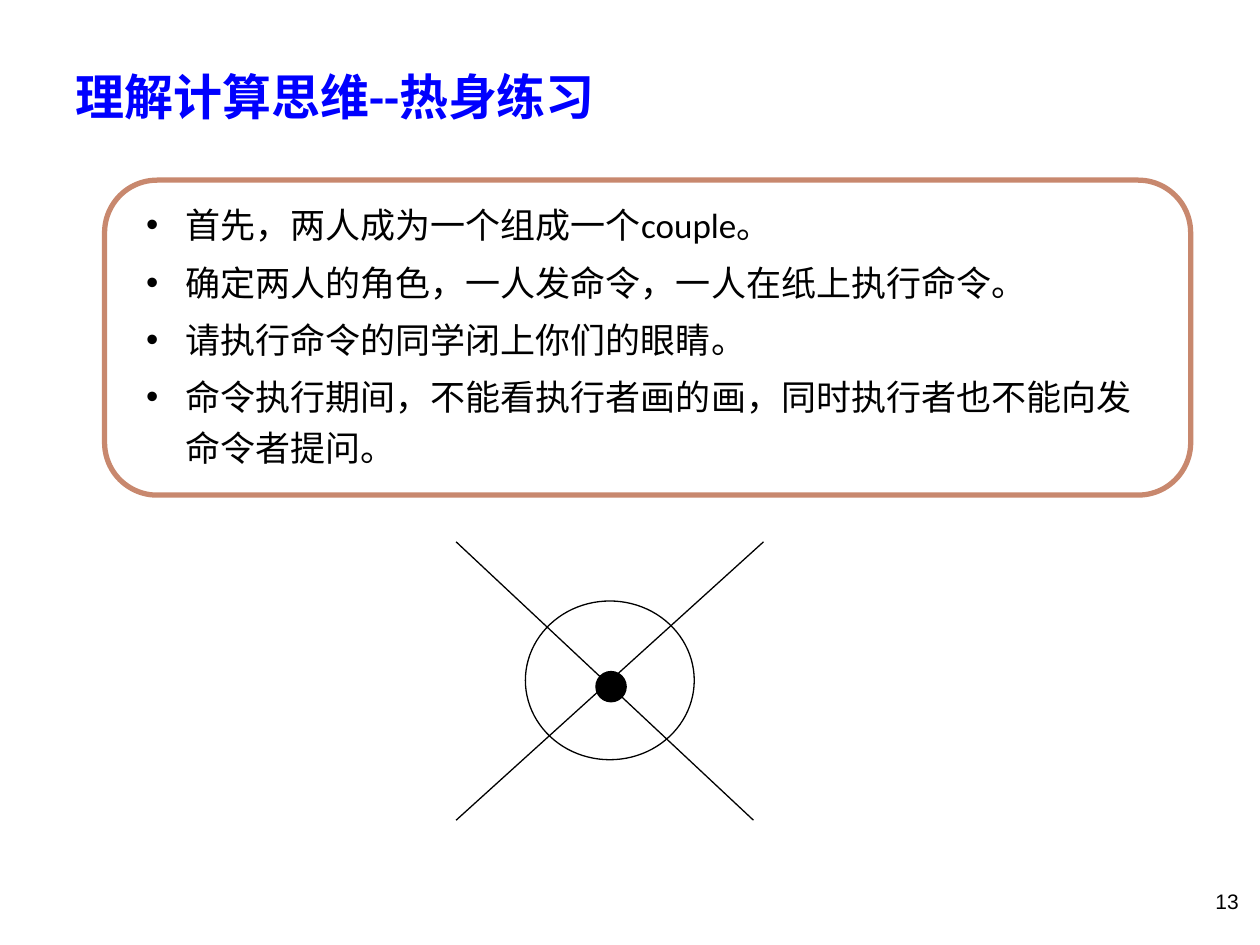
from dataclasses import dataclass
from typing import Optional

from lxml.etree import SubElement
from pptx import Presentation
from pptx.dml.color import RGBColor
from pptx.enum.shapes import MSO_CONNECTOR as Connector, MSO_SHAPE as Shape
from pptx.enum.text import MSO_ANCHOR as Anchor, MSO_AUTO_SIZE as AutoSize, PP_ALIGN as Align
from pptx.oxml.ns import qn
from pptx.util import Inches, Pt


@dataclass(frozen=True)
class Theme:
    """Colours, fonts and type sizes of the slide."""
    black: RGBColor = RGBColor(0x00, 0x00, 0x00)
    blue: RGBColor = RGBColor(0x00, 0x00, 0xFF)
    copper: RGBColor = RGBColor(0xC8, 0x88, 0x6E)
    text_font: str = "Calibri"
    number_font: str = "Arial"
    title_size: int = 28
    body_size: int = 20
    number_size: int = 12
    thin_line: float = 0.75
    frame_line: float = 3


@dataclass(frozen=True)
class Box:
    """A rectangle in inches."""
    left: float
    top: float
    width: float
    height: float

    def lengths(self) -> tuple:
        """Return the rectangle as lengths."""
        return tuple(Inches(v) for v in (self.left, self.top, self.width, self.height))


@dataclass(frozen=True)
class Outline:
    """A preset shape with a line and an optional fill."""
    kind: Shape
    box: Box
    color: RGBColor
    weight: float
    fill: Optional[RGBColor] = None


@dataclass(frozen=True)
class Stroke:
    """A straight line between two points in inches."""
    start: tuple
    end: tuple


THEME = Theme()
TITLE_BOX = Box(0.5, 0.3, 9, 0.93)
BODY_BOX = Box(1.06, 1.5, 8.26, 2.37)
NUMBER_BOX = Box(7.6, 6.95, 2.33, 0.4)
BULLET_INDENT = Inches(0.31)
FRAME = Outline(Shape.ROUNDED_RECTANGLE, Box(0.83, 1.43, 8.62, 2.5), THEME.copper, THEME.frame_line)
CIRCLE = Outline(Shape.OVAL, Box(4.17, 4.77, 1.34, 1.26), THEME.black, THEME.thin_line)
DOT = Outline(Shape.OVAL, Box(4.73, 5.33, 0.24, 0.24), THEME.black, THEME.thin_line, THEME.black)
DIAGONALS = (
    Stroke((3.62, 4.3), (5.98, 6.51)),
    Stroke((6.06, 4.3), (3.62, 6.51)),
)
RULES = (
    "首先，两人成为一个组成一个couple。",
    "确定两人的角色，一人发命令，一人在纸上执行命令。",
    "请执行命令的同学闭上你们的眼睛。",
    "命令执行期间，不能看执行者画的画，同时执行者也不能向发命令者提问。",
)


def place(shape, box: Box) -> None:
    """Move and size a shape."""
    shape.left, shape.top, shape.width, shape.height = box.lengths()


def prepare_frame(shape, anchor: Anchor):
    """Return the shape's text frame, wrapped and anchored."""
    frame = shape.text_frame
    frame.word_wrap = True
    frame.auto_size = AutoSize.NONE
    frame.vertical_anchor = anchor
    return frame


def add_text(paragraph, text: str, font: str, size: int, color: RGBColor, bold: bool = False) -> None:
    """Add one formatted run."""
    run = paragraph.add_run()
    run.text = text
    run.font.name = font
    run.font.size = Pt(size)
    run.font.bold = bold
    run.font.color.rgb = color


def add_outline(shapes, outline: Outline) -> None:
    """Draw a preset shape."""
    shape = shapes.add_shape(outline.kind, *outline.box.lengths())
    shape.shadow.inherit = False
    shape.line.color.rgb = outline.color
    shape.line.width = Pt(outline.weight)
    if outline.fill is None:
        shape.fill.background()
    else:
        shape.fill.solid()
        shape.fill.fore_color.rgb = outline.fill


def add_stroke(shapes, stroke: Stroke) -> None:
    """Draw a thin straight line."""
    points = (Inches(v) for v in stroke.start + stroke.end)
    connector = shapes.add_connector(Connector.STRAIGHT, *points)
    connector.line.color.rgb = THEME.black
    connector.line.width = Pt(THEME.thin_line)
    SubElement(connector.element.spPr, qn("a:effectLst"))


def fill_title(title) -> None:
    """Write the slide title."""
    place(title, TITLE_BOX)
    paragraph = prepare_frame(title, Anchor.MIDDLE).paragraphs[0]
    paragraph.alignment = Align.LEFT
    add_text(paragraph, "理解计算思维--热身练习", THEME.text_font, THEME.title_size, THEME.blue, bold=True)


def fill_rules(body) -> None:
    """Write the bulleted rules of the exercise."""
    place(body, BODY_BOX)
    frame = prepare_frame(body, Anchor.TOP)
    for index, rule in enumerate(RULES):
        paragraph = frame.add_paragraph() if index else frame.paragraphs[0]
        properties = paragraph._p.get_or_add_pPr()
        properties.set("marL", str(BULLET_INDENT))
        properties.set("indent", str(-BULLET_INDENT))
        SubElement(properties, qn("a:buFont"), typeface=THEME.number_font)
        SubElement(properties, qn("a:buChar"), char="•")
        paragraph.line_spacing = 1.2
        paragraph.space_before = Pt(4 if index else 0)
        add_text(paragraph, rule, THEME.text_font, THEME.body_size, THEME.black)


def add_page_number(shapes) -> None:
    """Write the page number in the lower right corner."""
    text_box = shapes.add_textbox(*NUMBER_BOX.lengths())
    paragraph = prepare_frame(text_box, Anchor.MIDDLE).paragraphs[0]
    paragraph.alignment = Align.RIGHT
    add_text(paragraph, "13", THEME.number_font, THEME.number_size, THEME.black)


def add_drawing(shapes) -> None:
    """Draw the grouped figure that the pairs describe."""
    group = shapes.add_group_shape()
    add_outline(group.shapes, CIRCLE)
    for diagonal in DIAGONALS:
        add_stroke(group.shapes, diagonal)
    add_outline(group.shapes, DOT)


def main() -> None:
    """Build and save the slide."""
    presentation = Presentation()
    presentation.slide_width, presentation.slide_height = Inches(10), Inches(7.5)
    slide = presentation.slides.add_slide(presentation.slide_layouts[1])
    fill_title(slide.shapes.title)
    fill_rules(slide.placeholders[1])
    add_page_number(slide.shapes)
    add_drawing(slide.shapes)
    add_outline(slide.shapes, FRAME)
    presentation.save("out.pptx")


if __name__ == "__main__":
    main()
